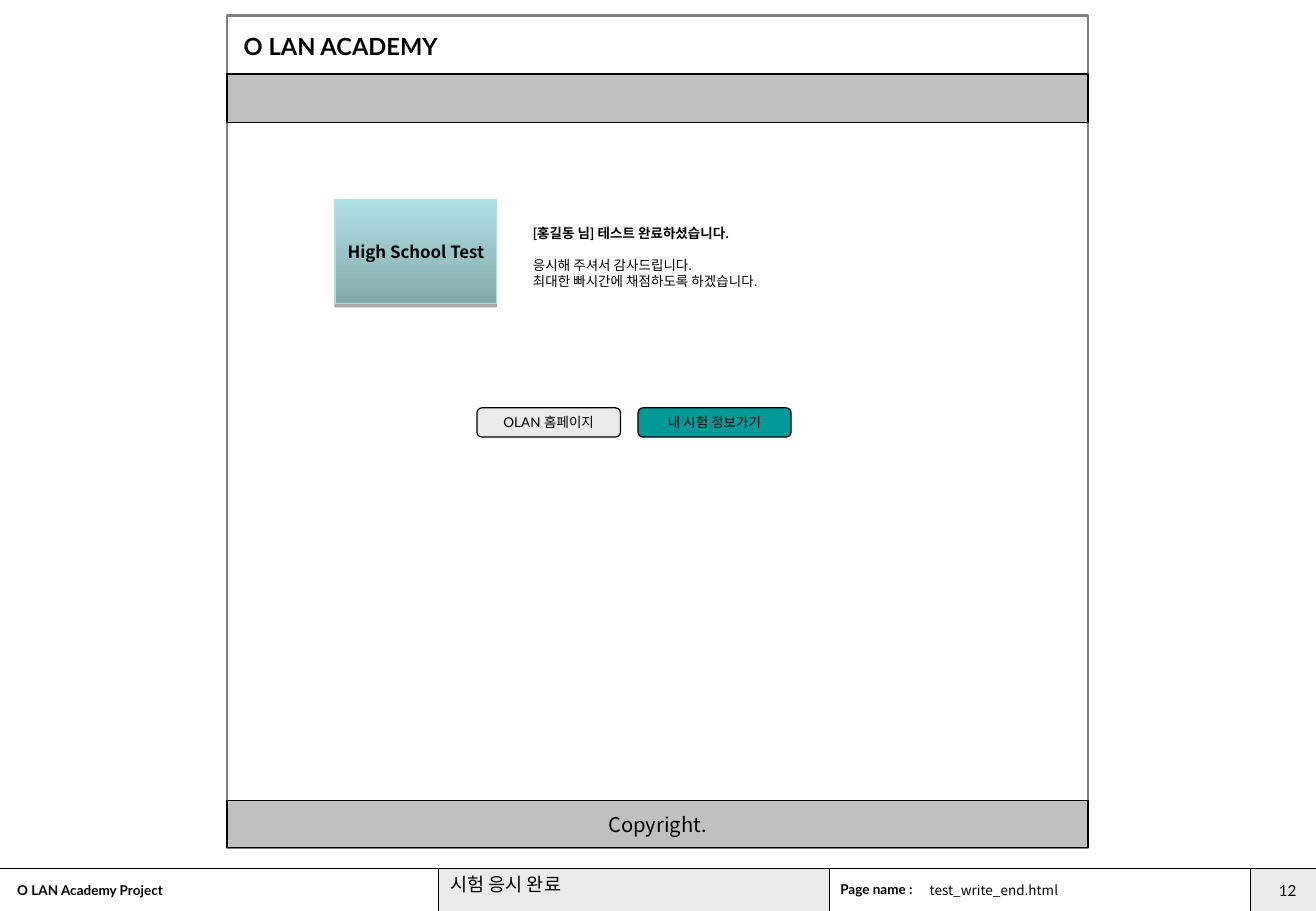
from lxml import etree
from pptx import Presentation
from pptx.dml.color import RGBColor
from pptx.enum.shapes import MSO_CONNECTOR as CONN, MSO_SHAPE as SHAPE
from pptx.enum.text import MSO_ANCHOR as ANCHOR, PP_ALIGN as ALIGN
from pptx.oxml import parse_xml
from pptx.oxml.ns import nsdecls, qn
from pptx.util import Cm, Pt

BLACK = RGBColor(0x00, 0x00, 0x00)
FRAME_GRAY = RGBColor(0x80, 0x80, 0x80)
BAND_GRAY = RGBColor(0xC0, 0xC0, 0xC0)
LIGHT_GRAY = RGBColor(0xEA, 0xEA, 0xEA)
TEAL = RGBColor(0x00, 0x99, 0x99)
CARD_DARK = RGBColor(0x85, 0xAA, 0xAD)
CARD_LIGHT = RGBColor(0xAF, 0xE0, 0xE4)
CARD_LINE = RGBColor(0xB6, 0xDC, 0xDF)
LATO = "Lato"
NOTO = "Noto Sans CJK KR"


def write(p, text, size, font=LATO, bold=False, align=ALIGN.LEFT):
    p.text = text
    p.alignment = align
    for r in p.runs:
        r.font.size = Pt(size)
        r.font.name = font
        r.font.bold = bold
        r.font.color.rgb = BLACK
        ea = etree.SubElement(r.font._element, qn("a:ea"))
        ea.set("typeface", NOTO)


def set_frame(tf, inset, wrap):
    tf.word_wrap = wrap
    tf.margin_left = tf.margin_right = Cm(inset)
    tf.margin_top = tf.margin_bottom = Cm(0.13)


def add_text(s, x, y, w, h, text, size, inset=0.28, **style):
    tf = s.shapes.add_textbox(Cm(x), Cm(y), Cm(w), Cm(h)).text_frame
    set_frame(tf, inset, True)
    write(tf.paragraphs[0], text, size, **style)
    return tf


def add_box(s, x, y, w, h, fill=None, line=None, width=0.75, kind=SHAPE.RECTANGLE):
    sp = s.shapes.add_shape(kind, Cm(x), Cm(y), Cm(w), Cm(h))
    sp.shadow.inherit = False
    if fill is None:
        sp.fill.background()
    else:
        sp.fill.solid()
        sp.fill.fore_color.rgb = fill
    if line is None:
        sp.line.fill.background()
    else:
        sp.line.color.rgb = line
        sp.line.width = Pt(width)
    return sp


def label(sp, text, size, **style):
    tf = sp.text_frame
    set_frame(tf, 0.25, False)
    tf.vertical_anchor = ANCHOR.MIDDLE
    write(tf.paragraphs[0], text, size, align=ALIGN.CENTER, **style)


def add_line(s, x1, y1, x2, y2, width):
    c = s.shapes.add_connector(CONN.STRAIGHT, Cm(x1), Cm(y1), Cm(x2), Cm(y2))
    c.line.color.rgb = BLACK
    c.line.width = Pt(width)
    etree.SubElement(c._element.spPr, qn("a:effectLst"))


def info_strip(s, x, y, w, h):
    title_x, page_x, number_x = x + 9.17, x + 17.35, x + 26.16
    # Shaded cells
    add_box(s, number_x, y, x + w - number_x, h, LIGHT_GRAY)
    add_box(s, title_x, y, page_x - title_x, h, LIGHT_GRAY)
    # Rules
    add_line(s, x, y, x + w, y, 0.75)
    for rule_x, width in ((title_x, 0.25), (page_x, 0.25), (number_x, 0.75)):
        add_line(s, rule_x, y, rule_x, y + h, width)
    # Texts
    add_text(s, x + 0.08, y + 0.15, 5.84, 0.61, "O LAN Academy Project", 8, bold=True)
    add_text(s, title_x, y - 0.03, 8.2, 0.91, "시험 응시 완료", 11, 0.25, font=NOTO)
    add_text(s, page_x - 0.05, y + 0.13, 2.26, 0.61, "Page name :", 8, bold=True)
    add_text(s, page_x + 2, y + 0.15, 6.6, 0.61, "test_write_end.html", 8, 0.1, font=NOTO)
    add_text(s, number_x + 0.1, y + 0.13, 1.14, 0.71, "12", 9, align=ALIGN.RIGHT)


def test_card(s, x, y, w, h):
    card = add_box(s, x, y, w, h, line=CARD_LINE)
    card.fill.gradient()
    card.fill.gradient_angle = 90
    for stop, color in zip(card.fill.gradient_stops, (CARD_DARK, CARD_LIGHT)):
        stop.color.rgb = color
    effects = card._element.spPr.find(qn("a:effectLst"))
    effects.append(parse_xml(
        f'<a:outerShdw {nsdecls("a")} blurRad="0" dist="{Pt(1.8)}" dir="5400000" '
        'rotWithShape="0"><a:srgbClr val="000000"><a:alpha val="35000"/>'
        '</a:srgbClr></a:outerShdw>'))
    label(card, "High School Test", 10, font=NOTO, bold=True)


def message(s, x, y, w, h):
    tf = add_text(s, x, y, w, h, "[홍길동 님] 테스트 완료하셨습니다.", 8, 0.25, bold=True)
    thanks = tf.add_paragraph()
    write(thanks, "응시해 주셔서 감사드립니다.", 8)
    thanks.space_before = Pt(9.7)
    write(tf.add_paragraph(), "최대한 빠시간에 채점하도록 하겠습니다.", 8)


def web_page(s, x, y, w, h):
    # Window with header and copyright bands
    add_box(s, x, y, w, h, line=FRAME_GRAY, width=1.5)
    add_text(s, x + 0.25, y + 0.2, 6, 0.86, "O LAN ACADEMY", 14, 0.1, bold=True)
    add_box(s, x, y + 1.22, w, 1.02, BAND_GRAY, BLACK)
    footer = add_box(s, x, y + h - 0.99, w, 0.99, BAND_GRAY, BLACK)
    label(footer, "Copyright.", 12, font=NOTO)
    # Result of the test
    test_card(s, x + 2.26, y + 3.84, 3.38, 2.18)
    message(s, x + 6.15, y + 4.24, 6, 1.63)
    # Buttons
    for dx, width, fill, text in ((5.23, 3, LIGHT_GRAY, "OLAN 홈페이지"),
                                  (8.6, 3.2, TEAL, "내 시험 정보가기")):
        button = add_box(s, x + dx, y + 8.2, width, 0.61, fill, BLACK,
                         kind=SHAPE.ROUNDED_RECTANGLE)
        label(button, text, 8)


def main():
    prs = Presentation()
    prs.slide_width, prs.slide_height = Cm(27.53), Cm(19.05)
    s = prs.slides.add_slide(prs.slide_layouts[6])
    info_strip(s, 0, 18.16, 27.53, 0.89)
    web_page(s, 4.75, 0.33, 18.01, 17.4)
    prs.save("out.pptx")


if __name__ == "__main__":
    main()
